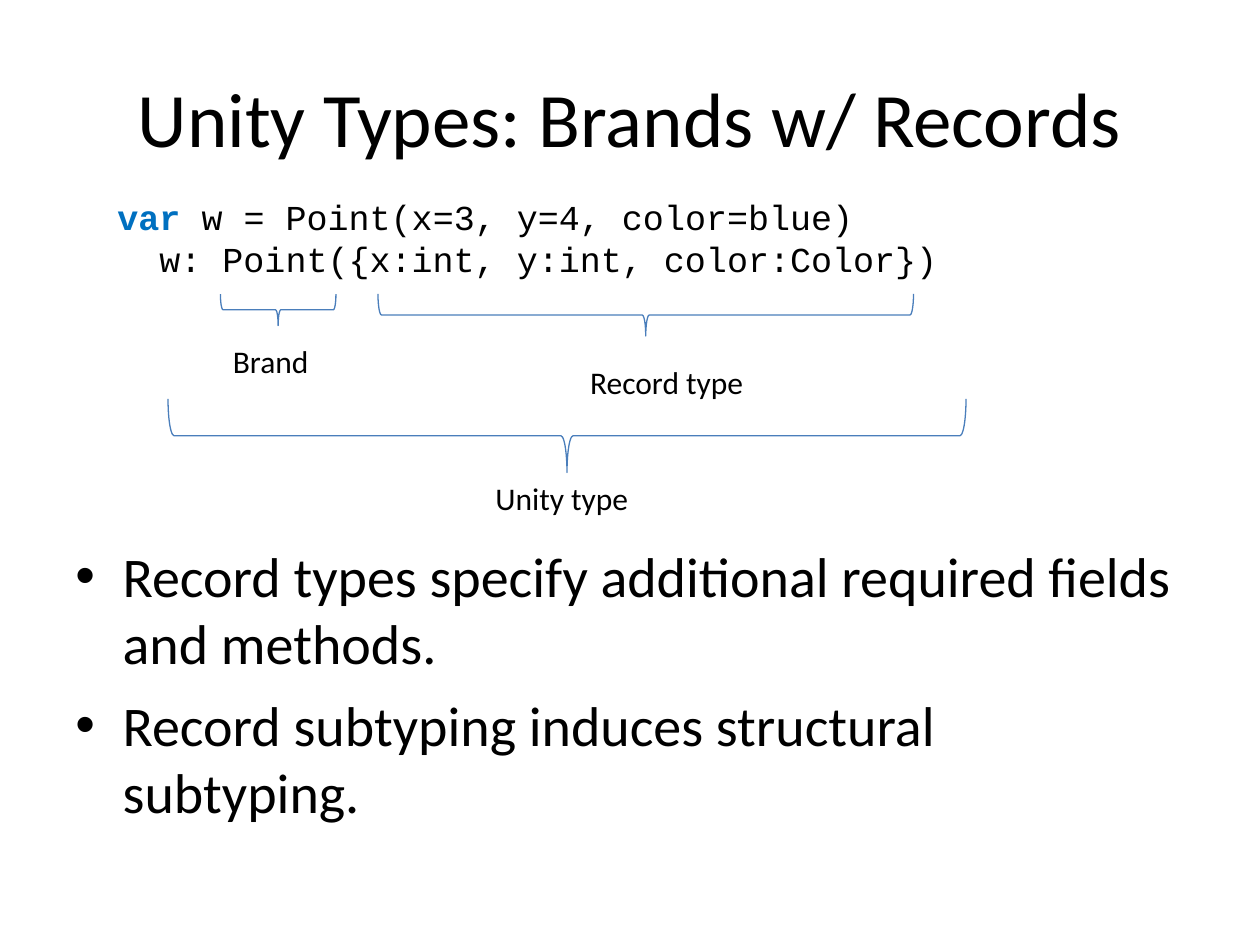
"""Build the slide on unity types, brands and records."""
from dataclasses import dataclass

from lxml import etree
from pptx import Presentation
from pptx.dml.color import RGBColor
from pptx.enum.shapes import MSO_SHAPE
from pptx.enum.text import MSO_ANCHOR, PP_ALIGN
from pptx.oxml.ns import qn
from pptx.shapes.base import BaseShape
from pptx.slide import Slide
from pptx.text.text import _Paragraph
from pptx.util import Inches, Pt

LEFT, CENTER = PP_ALIGN.LEFT, PP_ALIGN.CENTER
TOP, MIDDLE = MSO_ANCHOR.TOP, MSO_ANCHOR.MIDDLE
LEFT_BRACE = MSO_SHAPE.LEFT_BRACE
COLUMNS, ROWS = 120, 90
SLIDE_WIDTH, SLIDE_HEIGHT = Inches(10), Inches(7.5)
BODY_FONT, CODE_FONT = "Calibri", "Courier New"
BLACK, KEYWORD_BLUE, BRACE_BLUE = "000000", "0070C0", "4A7EBB"
KEYWORD = "var"


@dataclass(frozen=True)
class Area:
    """A rectangle in grid columns and rows."""
    column: float
    row: float
    columns: float
    rows: float


@dataclass(frozen=True)
class TextBlock:
    """Lines of text that share one style."""
    area: Area
    lines: tuple[str, ...]
    size: int
    font: str = BODY_FONT
    align: PP_ALIGN = LEFT
    anchor: MSO_ANCHOR = TOP
    bulleted: bool = False


TEXT_BLOCKS = (
    TextBlock(Area(6, 3.6, 108, 15), ("Unity Types: Brands w/ Records",), 44,
              align=CENTER, anchor=MIDDLE),
    TextBlock(Area(6, 51, 108, 31.5),
              ("Record types specify additional required fields and methods.",
               "Record subtyping induces structural subtyping."), 32, bulleted=True),
    TextBlock(Area(10, 18, 83, 9.3),
              ("var w = Point(x=3, y=4, color=blue)",
               "  w: Point({x:int, y:int, color:Color})"), 20, font=CODE_FONT),
    TextBlock(Area(21, 32, 11, 4.8), ("Brand",), 18),
    TextBlock(Area(50, 34, 27, 4.8), ("Record type",), 18, align=CENTER),
    TextBlock(Area(46, 45, 17, 4.8), ("Unity type",), 18),
)
BRACES = (Area(21, 28, 11, 3), Area(36, 28, 51, 4), Area(16, 38, 76, 7))


def color(value: str) -> RGBColor:
    """Turn a hex string into a colour."""
    return RGBColor.from_string(value)


def across(columns: float) -> int:
    """Give the length of a number of grid columns."""
    return round(SLIDE_WIDTH * columns / COLUMNS)


def down(rows: float) -> int:
    """Give the length of a number of grid rows."""
    return round(SLIDE_HEIGHT * rows / ROWS)


def add_bullet(paragraph: _Paragraph) -> None:
    """Give a paragraph a hanging bullet."""
    properties = paragraph._p.get_or_add_pPr()
    properties.set("marL", str(across(4.5)))
    properties.set("indent", str(-across(4.5)))
    etree.SubElement(properties, qn("a:buFont")).set("typeface", "Arial")
    etree.SubElement(properties, qn("a:buChar")).set("char", "•")


def add_line(paragraph: _Paragraph, line: str) -> None:
    """Write a line, with a leading keyword set apart."""
    if line.startswith(KEYWORD):
        keyword = paragraph.add_run()
        keyword.text = KEYWORD
        keyword.font.bold = True
        keyword.font.color.rgb = color(KEYWORD_BLUE)
        line = line.removeprefix(KEYWORD)
    paragraph.add_run().text = line


def add_text(slide: Slide, block: TextBlock) -> BaseShape:
    """Draw one block of text."""
    area = block.area
    box = slide.shapes.add_textbox(across(area.column), down(area.row),
                                   across(area.columns), down(area.rows))
    frame = box.text_frame
    frame.word_wrap = True
    frame.vertical_anchor = block.anchor
    for index, line in enumerate(block.lines):
        paragraph = frame.add_paragraph() if index else frame.paragraphs[0]
        paragraph.alignment = block.align
        if block.bulleted:
            paragraph.space_before = Pt(8 if index else 0)
            add_bullet(paragraph)
        paragraph.font.name = block.font
        paragraph.font.size = Pt(block.size)
        paragraph.font.color.rgb = color(BLACK)
        add_line(paragraph, line)
    return box


def add_brace(slide: Slide, area: Area) -> BaseShape:
    """Draw a brace that spans an area and points down."""
    width, height = across(area.columns), down(area.rows)
    left = across(area.column) + (width - height) // 2
    top = down(area.row) + (height - width) // 2
    brace = slide.shapes.add_shape(LEFT_BRACE, left, top, height, width)
    brace.rotation = 270
    brace.shadow.inherit = False
    brace.fill.background()
    brace.line.color.rgb = color(BRACE_BLUE)
    brace.line.width = Pt(0.75)
    return brace


def main() -> None:
    """Build and save the slide."""
    presentation = Presentation()
    presentation.slide_width, presentation.slide_height = SLIDE_WIDTH, SLIDE_HEIGHT
    slide = presentation.slides.add_slide(presentation.slide_layouts[6])
    for block in TEXT_BLOCKS:
        add_text(slide, block)
    for area in BRACES:
        add_brace(slide, area)
    presentation.save("out.pptx")


if __name__ == "__main__":
    main()
